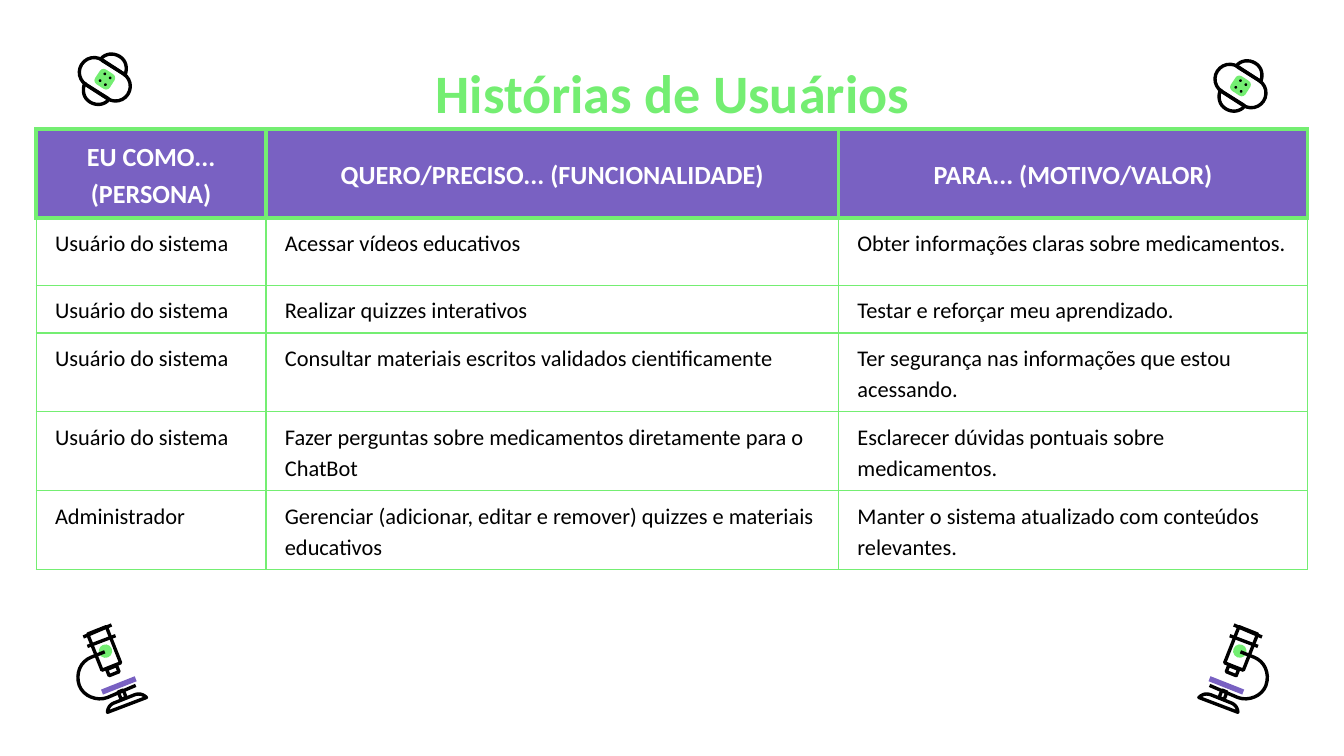
import lxml.etree
import pptx
import pptx.dml.color
import pptx.enum.shapes
import pptx.enum.text
import pptx.oxml.ns
import pptx.util

GREEN = pptx.dml.color.RGBColor(0x74, 0xEE, 0x72)
PURPLE = pptx.dml.color.RGBColor(0x79, 0x61, 0xC2)
BLACK = pptx.dml.color.RGBColor(0, 0, 0)
WHITE = pptx.dml.color.RGBColor(0xFF, 0xFF, 0xFF)
FONT = "Calibri"
SHAPE = pptx.enum.shapes.MSO_SHAPE
CENTER = pptx.enum.text.PP_ALIGN.CENTER
qn = pptx.oxml.ns.qn

deck = pptx.Presentation()
deck.slide_width = pptx.util.Inches(10)
deck.slide_height = deck.slide_width * 9 // 16
UNIT = deck.slide_width // 1000  # the slide is a grid of 1000 columns
slide = deck.slides.add_slide(deck.slide_layouts[5])


def paint(shape, fill=None):
    """Fill the shape, or give it a black outline when there is no fill."""
    shape.shadow.inherit = False
    if fill is None:
        shape.fill.background()
        shape.line.color.rgb = BLACK
        shape.line.width = pptx.util.Pt(1.8)
    else:
        shape.fill.solid()
        shape.fill.fore_color.rgb = fill
        shape.line.fill.background()


def draw_outline(steps, place, closed):
    """Draw steps of 2 numbers as lines and steps of 6 as Bezier curves."""
    points = [steps[0]]
    for step in steps[1:]:
        if len(step) == 2:
            points.append(step)
            continue
        corners = [points[-1], step[:2], step[2:4], step[4:]]
        for t in (n / 8 for n in range(1, 9)):
            weights = ((1 - t) ** 3, 3 * t * (1 - t) ** 2, 3 * t * t * (1 - t), t ** 3)
            points.append(tuple(sum(w * c[axis] for w, c in zip(weights, corners))
                                for axis in (0, 1)))
    placed = [place(x, y) for x, y in points]
    builder = slide.shapes.build_freeform(*placed[0])
    builder.add_line_segments(placed[1:], close=closed)
    paint(builder.convert_to_shape())


# Microscopes: centre, size and fill of each part, tilted with the body
TILT = 21.6
microscope_parts = [
    (SHAPE.RECTANGLE, 77.5, 482.5, 15, 29, None),
    (SHAPE.RECTANGLE, 84, 499, 8, 5, None),
    (SHAPE.OVAL, 78.5, 484.5, 10, 10, GREEN),
    (SHAPE.RECTANGLE, 88.5, 510, 27, 4, PURPLE),
    (SHAPE.RECTANGLE, 91, 517, 4, 6, None),
]
tube_rings = [(86, 473, 65, 481), (83, 465, 62, 474)]
arm = [(78, 485), (68, 489), (60, 492, 56, 501, 59, 510),
       (62, 518, 72, 522, 80, 519), (101, 510)]
foot = [(85, 523), (100, 517), (103, 516, 106, 516, 109, 519),
        (80, 530), (80, 527, 82, 524, 85, 523)]

for mirrored in (True, False):
    def place_microscope(x, y):
        return round((1001 - x if mirrored else x) * UNIT), round(y * UNIT)

    for kind, x, y, width, height, fill in microscope_parts:
        center_x, center_y = place_microscope(x, y)
        part = slide.shapes.add_shape(
            kind, center_x - width * UNIT // 2, center_y - height * UNIT // 2,
            width * UNIT, height * UNIT)
        part.rotation = TILT if mirrored else -TILT
        paint(part, fill)
    for x1, y1, x2, y2 in tube_rings:
        ring = slide.shapes.add_connector(
            pptx.enum.shapes.MSO_CONNECTOR.STRAIGHT,
            *place_microscope(x1, y1), *place_microscope(x2, y2))
        ring.line.color.rgb = BLACK
        ring.line.width = pptx.util.Pt(1.8)
        lxml.etree.SubElement(ring._element.spPr, qn("a:effectLst"))
    draw_outline(arm, place_microscope, closed=False)
    draw_outline(foot, place_microscope, closed=True)

# Bandages: centre, size, corner rounding and fill of each part
bandage_parts = [(78, 59, 41, 22, 0.5, None), (78, 59, 13, 13, 0.25, GREEN)]
bandage_parts += [(x, y, 2, 2, 0.5, BLACK)
                  for x, y in ((74.5, 60), (78, 55), (78.5, 63), (82, 58))]
strip_ends = [
    [(76, 45), (92, 55), (93, 56), (95, 51, 94, 45, 89, 42),
     (84, 39, 78, 40, 75, 44)],
    [(80, 73), (64, 63), (63, 62), (61, 67, 62, 73, 67, 76),
     (72, 79, 78, 78, 81, 74)],
]

for shift_x, shift_y in ((845, 5), (0, 0)):
    def place_bandage(x, y):
        return round((x + shift_x) * UNIT), round((y + shift_y) * UNIT)

    for x, y, width, height, rounding, fill in bandage_parts:
        center_x, center_y = place_bandage(x, y)
        part = slide.shapes.add_shape(
            SHAPE.ROUNDED_RECTANGLE, center_x - width * UNIT // 2,
            center_y - height * UNIT // 2, width * UNIT, height * UNIT)
        part.adjustments[0] = rounding
        part.rotation = 33
        paint(part, fill)
    for strip_end in strip_ends:
        draw_outline(strip_end, place_bandage, closed=True)

# Title
title = slide.shapes.title
title.left, title.top, title.width, title.height = (n * UNIT for n in (79, 34, 843, 63))
heading = title.text_frame
heading.text = "Histórias de Usuários"
heading.auto_size = pptx.enum.text.MSO_AUTO_SIZE.NONE
heading.vertical_anchor = pptx.enum.text.MSO_ANCHOR.TOP
heading.margin_left = heading.margin_right = 10 * UNIT
heading.margin_top = heading.margin_bottom = 10 * UNIT
heading.paragraphs[0].alignment = CENTER
title_font = heading.paragraphs[0].runs[0].font
title_font.name, title_font.size, title_font.bold = FONT, pptx.util.Pt(29), True
title_font.color.rgb = GREEN

# User stories
USER = "Usuário do sistema"
stories = [
    ("EU COMO... (PERSONA)", "QUERO/PRECISO... (FUNCIONALIDADE)", "PARA... (MOTIVO/VALOR)"),
    (USER, "Acessar vídeos educativos", "Obter informações claras sobre medicamentos."),
    (USER, "Realizar quizzes interativos", "Testar e reforçar meu aprendizado."),
    (USER, "Consultar materiais escritos validados cientificamente",
     "Ter segurança nas informações que estou acessando."),
    (USER, "Fazer perguntas sobre medicamentos diretamente para o ChatBot",
     "Esclarecer dúvidas pontuais sobre medicamentos."),
    ("Administrador", "Gerenciar (adicionar, editar e remover) quizzes e materiais educativos",
     "Manter o sistema atualizado com conteúdos relevantes."),
]
column_widths = [171, 426, 349]
row_heights = [57, 50, 30, 50, 50, 50]
table = slide.shapes.add_table(
    len(stories), len(column_widths), 27 * UNIT, 96 * UNIT,
    sum(column_widths) * UNIT, sum(row_heights) * UNIT).table
table.first_row = table.horz_banding = False
for column, width in zip(table.columns, column_widths):
    column.width = width * UNIT

for r, story in enumerate(stories):
    table.rows[r].height = row_heights[r] * UNIT
    is_header = r == 0
    for c, wording in enumerate(story):
        cell = table.cell(r, c)
        cell.margin_left = cell.margin_right = 14 * UNIT
        cell.margin_top = cell.margin_bottom = 6 * UNIT
        cell.text_frame.text = wording
        paragraph = cell.text_frame.paragraphs[0]
        paragraph.line_spacing = 1.15
        font = paragraph.runs[0].font
        font.name, font.bold = FONT, is_header
        font.size = pptx.util.Pt(14 if is_header else 12)
        font.color.rgb = WHITE if is_header else BLACK
        if is_header:
            paragraph.alignment = CENTER
            cell.vertical_anchor = pptx.enum.text.MSO_ANCHOR.MIDDLE
            cell.fill.solid()
            cell.fill.fore_color.rgb = PURPLE
        else:
            cell.fill.background()
        properties = cell._tc.get_or_add_tcPr()
        for position, side in enumerate(("lnL", "lnR", "lnT", "lnB")):
            thick = is_header or (r == 1 and side == "lnT")
            border = lxml.etree.Element(
                qn("a:" + side), w=str(pptx.util.Pt(2.25 if thick else 0.75)))
            color_fill = lxml.etree.SubElement(border, qn("a:solidFill"))
            lxml.etree.SubElement(color_fill, qn("a:srgbClr"), val=str(GREEN))
            properties.insert(position, border)

deck.save("out.pptx")
